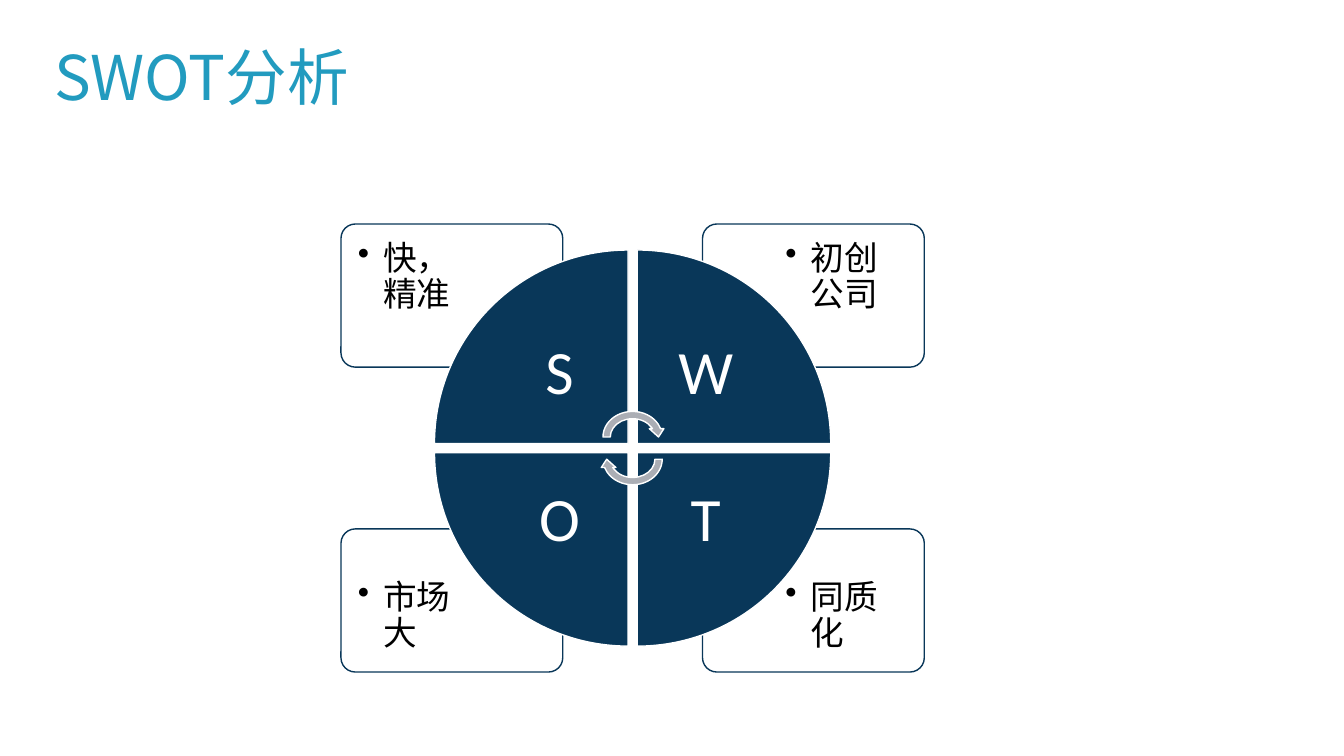
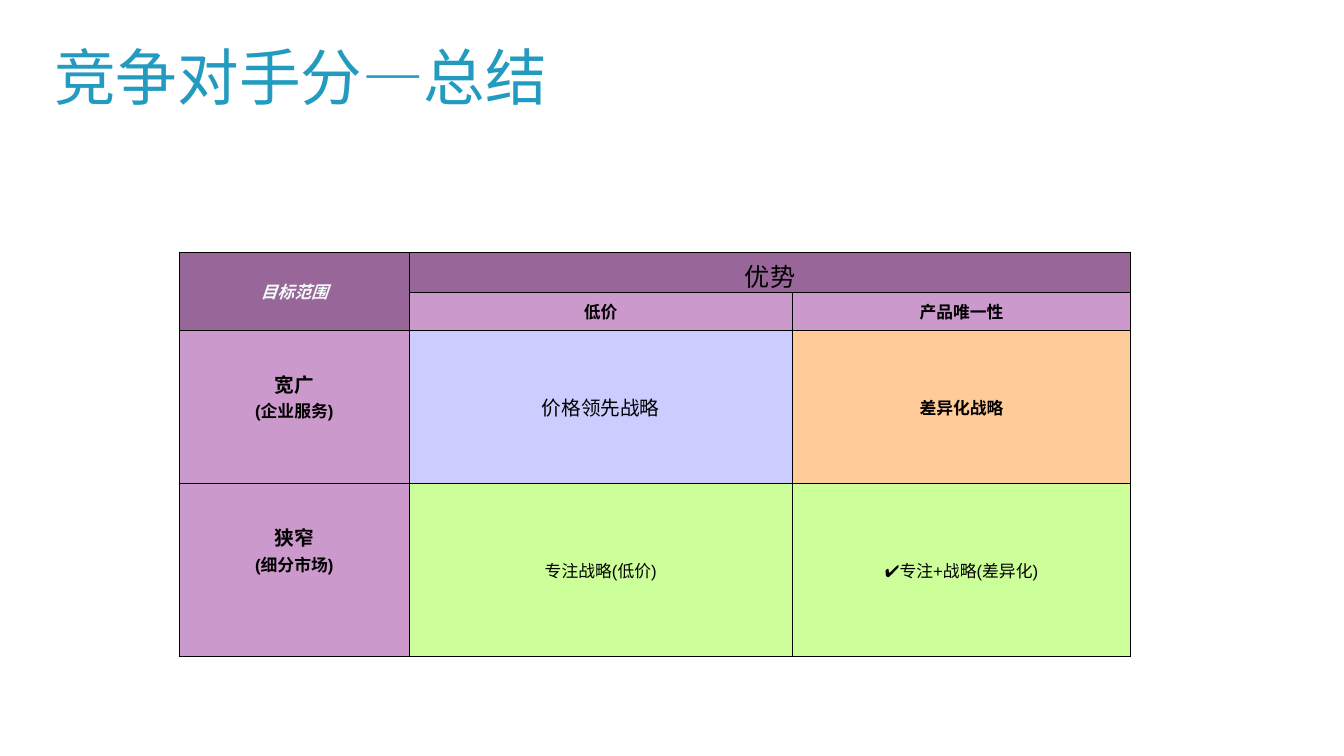
import pptx
import pptx.util
import pptx.dml.color
import pptx.enum.shapes
import pptx.enum.text
import pptx.oxml.ns
import lxml.etree

SHAPE = pptx.enum.shapes.MSO_SHAPE
ANCHOR = pptx.enum.text.MSO_ANCHOR
ALIGN = pptx.enum.text.PP_ALIGN
Pt, Inches = pptx.util.Pt, pptx.util.Inches
qn = pptx.oxml.ns.qn

SLIDE_W, SLIDE_H = Inches(13.33), Inches(7.5)
CJK_FONT = "Noto Sans CJK SC"
TEAL, NAVY, GREY = "229BBF", "093759", "ABAEB5"
WHITE, BLACK, MINT_WHITE = "FFFFFF", "000000", "F2FDF7"
PURPLE, LILAC, LAVENDER = "996699", "CC99CC", "CCCCFF"
PEACH, LIME = "FFCC99", "CCFF99"

# Centre of the SWOT wheel, in percent of the slide
WHEEL_X, WHEEL_Y = 47.07, 59.27


def across(percent):
    return int(SLIDE_W * percent / 100)


def down(percent):
    return int(SLIDE_H * percent / 100)


def area(left, top, width, height):
    """A box in percent of the slide, as lengths."""
    return across(left), down(top), across(width), down(height)


def rgb(hex_colour):
    return pptx.dml.color.RGBColor.from_string(hex_colour)


# Text
def add_run(paragraph, text, size, colour, font="Arial", bold=False, italic=False):
    run = paragraph.add_run()
    run.text = text
    run.font.name = font
    run.font.size = Pt(size)
    run.font.bold, run.font.italic = bold, italic
    run.font.color.rgb = rgb(colour)
    east_asian = lxml.etree.Element(qn("a:ea"), typeface=CJK_FONT)
    run.font._element.find(qn("a:latin")).addnext(east_asian)


def add_text_frame(slide, box, anchor, inset=None):
    frame = slide.shapes.add_textbox(*box).text_frame
    frame.word_wrap = True
    frame.vertical_anchor = anchor
    if inset is not None:
        frame.margin_left = frame.margin_right = Inches(inset)
        frame.margin_top = frame.margin_bottom = Inches(inset)
    return frame


def add_bullet(paragraph, indent):
    properties = paragraph._p.get_or_add_pPr()
    properties.set("marL", str(Inches(indent)))
    properties.set("indent", str(-Inches(indent)))
    lxml.etree.SubElement(properties, qn("a:buChar"), char="•")


def add_titled_slide(deck, title):
    slide = deck.slides.add_slide(deck.slide_layouts[6])
    frame = add_text_frame(slide, area(3.3, 4.4, 93.3, 11.2), ANCHOR.MIDDLE)
    add_run(frame.paragraphs[0], title, 44, TEAL, CJK_FONT)
    return slide


# SWOT wheel
def add_outlined(slide, kind, box, fill, line, rotation=0):
    shape = slide.shapes.add_shape(kind, *box)
    shape.shadow.inherit = False
    shape.rotation = rotation
    shape.fill.solid()
    shape.fill.fore_color.rgb = rgb(fill)
    shape.line.color.rgb = rgb(line)
    shape.line.width = Pt(1)
    return shape


def quadrant_box(side, level, gap_x, gap_y, width, height):
    """A box set off from the wheel centre; side and level are -1 or 1."""
    left = WHEEL_X + gap_x if side > 0 else WHEEL_X - gap_x - width
    top = WHEEL_Y + gap_y if level > 0 else WHEEL_Y - gap_y - height
    return area(left, top, width, height)


def add_note_card(slide, side, level, note):
    card_box = quadrant_box(side, level, 5.2, 10.7, 16.5, 18.93)
    card = add_outlined(slide, SHAPE.ROUNDED_RECTANGLE, card_box, WHITE, NAVY)
    card.adjustments[0] = 0.1
    note_box = quadrant_box(side, level, 10.39, 15.8, 11.03, 13.33)
    paragraph = add_text_frame(slide, note_box, ANCHOR.TOP, 0.13).paragraphs[0]
    add_bullet(paragraph, 0.25)
    paragraph.line_spacing = 0.9
    add_run(paragraph, note, 24, BLACK, "Calibri")


def add_wedge(slide, side, level, letter, rotation):
    wedge_box = quadrant_box(side, level, 0.34, 0.6, 14.4, 25.6)
    add_outlined(slide, SHAPE.PIE_WEDGE, wedge_box, NAVY, WHITE, rotation)
    letter_box = quadrant_box(side, level, 0.34, 0.6, 10.2, 18.13)
    paragraph = add_text_frame(slide, letter_box, ANCHOR.MIDDLE, 0.34).paragraphs[0]
    paragraph.alignment = ALIGN.CENTER
    paragraph.line_spacing = 0.9
    add_run(paragraph, letter, 44, WHITE, "Calibri")


def build_swot(deck):
    slide = add_titled_slide(deck, "SWOT分析")
    # Clockwise from the upper left
    quadrants = [(-1, -1, "S", "快，精准"), (1, -1, "W", "初创公司"),
                 (1, 1, "T", "同质化"), (-1, 1, "O", "市场大")]
    for side, level, _, note in quadrants:
        add_note_card(slide, side, level, note)
    for turn, (side, level, letter, _) in enumerate(quadrants):
        add_wedge(slide, side, level, letter, 90 * turn)
    # Cycle arrows at the centre
    width, height = 4.95, 7.73
    for offset, rotation in ((-1.47, 0), (1.47, 180)):
        arrow_box = area(WHEEL_X - width / 2, WHEEL_Y + offset - height / 2, width, height)
        add_outlined(slide, SHAPE.CIRCULAR_ARROW, arrow_box, GREY, WHITE, rotation)


# Strategy table
def add_borders(cell):
    properties = cell._tc.get_or_add_tcPr()
    for edge in ("a:lnL", "a:lnR", "a:lnT", "a:lnB"):
        line = lxml.etree.SubElement(properties, qn(edge), w=str(Pt(0.75)))
        fill = lxml.etree.SubElement(line, qn("a:solidFill"))
        lxml.etree.SubElement(fill, qn("a:srgbClr"), val=BLACK)


def fill_cell(cell, fill, lines, colour=BLACK, italic=False):
    """Each line is (text, size, bold); two lines make a row heading."""
    cell.margin_left = cell.margin_right = Inches(0.13)
    cell.margin_top = cell.margin_bottom = Inches(0.05)
    cell.vertical_anchor = ANCHOR.MIDDLE
    if len(lines) > 1:
        cell.vertical_anchor = ANCHOR.TOP
        cell.margin_top = Inches(0.39)
    cell.fill.solid()
    cell.fill.fore_color.rgb = rgb(fill)
    frame = cell.text_frame
    for index, (text, size, bold) in enumerate(lines):
        paragraph = frame.add_paragraph() if index else frame.paragraphs[0]
        paragraph.alignment = ALIGN.CENTER
        add_run(paragraph, text, size, colour, bold=bold, italic=italic)


def build_competitors(deck):
    slide = add_titled_slide(deck, "竞争对手分—总结")
    columns, rows = (17.1, 28.5, 25.2), (5.07, 5.07, 20.27, 22.8)
    table_box = area(13.35, 33.33, sum(columns), sum(rows))
    strategies = slide.shapes.add_table(len(rows), len(columns), *table_box).table
    strategies.first_row = strategies.horz_banding = False
    for column, share in zip(strategies.columns, columns):
        column.width = across(share)
    for row, share in zip(strategies.rows, rows):
        row.height = down(share)
    for cell in strategies.iter_cells():
        add_borders(cell)

    # Headings
    strategies.cell(0, 0).merge(strategies.cell(1, 0))
    strategies.cell(0, 1).merge(strategies.cell(0, 2))
    fill_cell(strategies.cell(0, 0), PURPLE, [("目标范围", 12, True)], MINT_WHITE, True)
    fill_cell(strategies.cell(0, 1), PURPLE, [("优势", 18, False)])

    # Advantages and strategies
    body = {
        (1, 1): (LILAC, [("低价", 12, True)]),
        (1, 2): (LILAC, [("产品唯一性", 12, True)]),
        (2, 0): (LILAC, [("宽广", 14, True), ("(企业服务)", 12, True)]),
        (2, 1): (LAVENDER, [("价格领先战略", 14, False)]),
        (2, 2): (PEACH, [("差异化战略", 12, True)]),
        (3, 0): (LILAC, [("狭窄", 14, True), ("(细分市场)", 12, True)]),
        (3, 1): (LIME, [("专注战略(低价)", 12, False)]),
        (3, 2): (LIME, [("✔专注+战略(差异化)", 12, False)]),
    }
    for place, (fill, lines) in body.items():
        fill_cell(strategies.cell(*place), fill, lines)


def main():
    deck = pptx.Presentation()
    deck.slide_width, deck.slide_height = SLIDE_W, SLIDE_H
    build_swot(deck)
    build_competitors(deck)
    deck.save("out.pptx")


if __name__ == "__main__":
    main()
